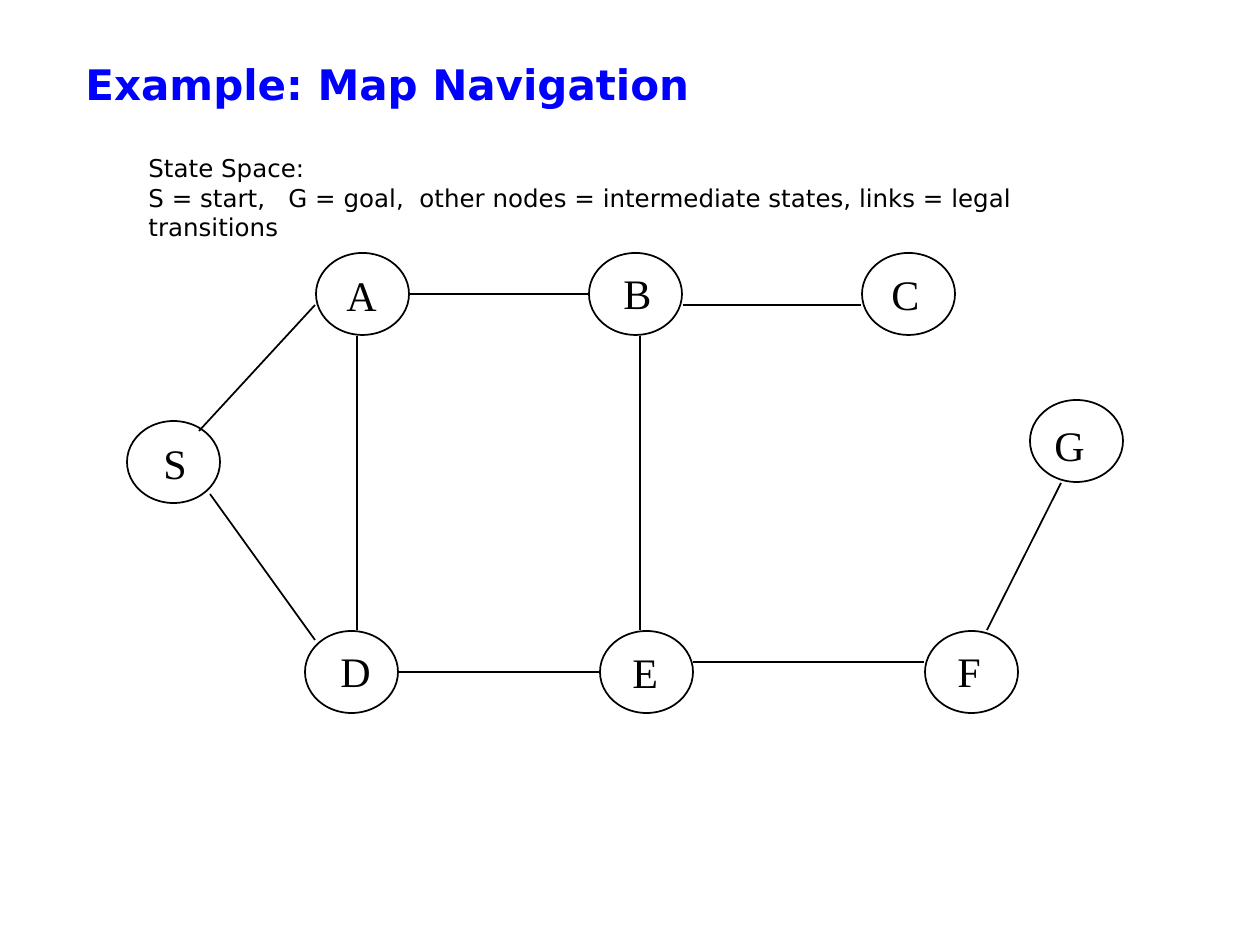
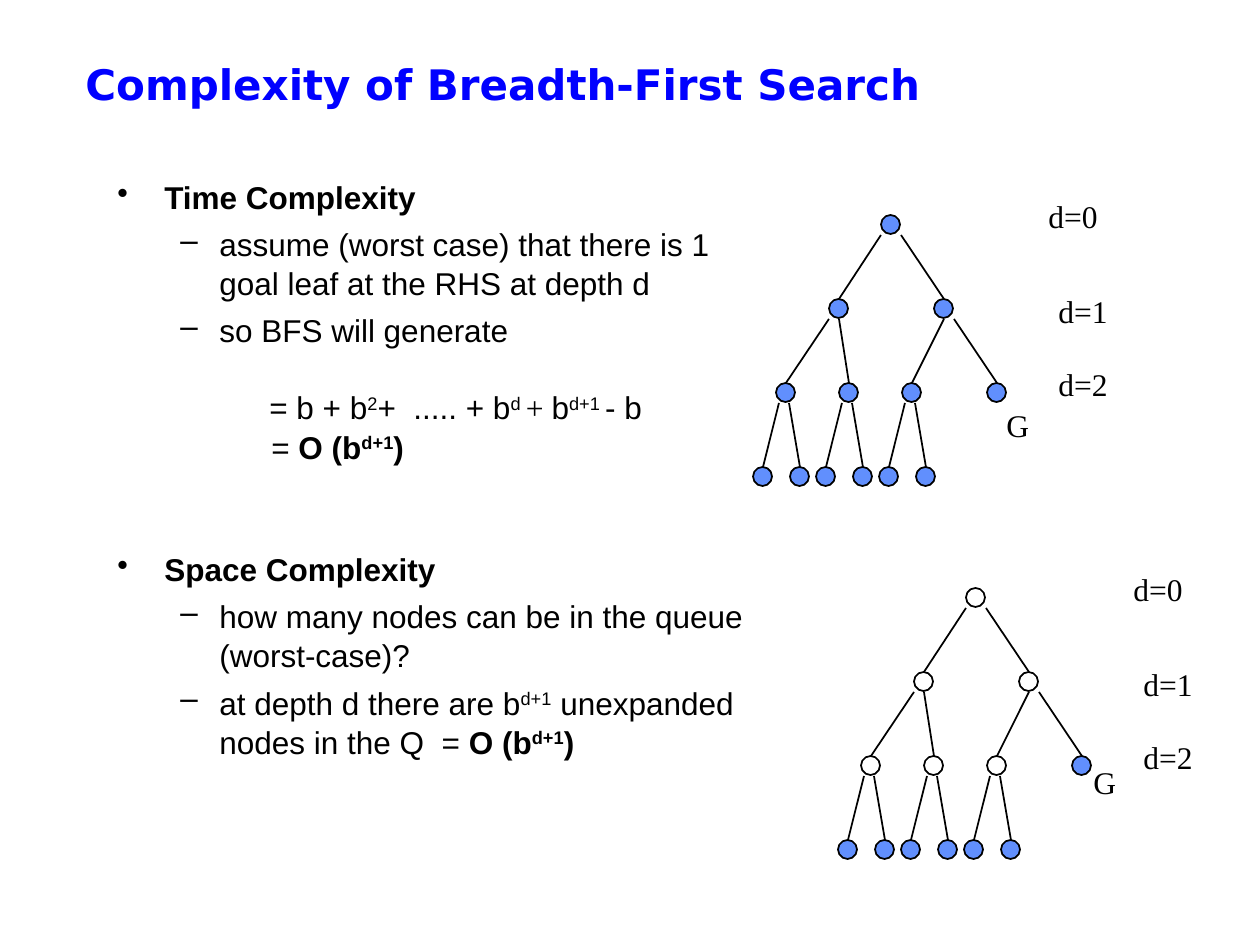
from dataclasses import dataclass

from lxml.etree import SubElement
from pptx import Presentation
from pptx.dml.color import RGBColor
from pptx.enum.shapes import MSO_CONNECTOR, MSO_SHAPE
from pptx.enum.text import MSO_ANCHOR
from pptx.oxml.ns import qn
from pptx.util import Emu, Pt


@dataclass(frozen=True)
class Theme:
    ink: RGBColor = RGBColor(0, 0, 0)
    title: RGBColor = RGBColor(0, 0, 255)
    node: RGBColor = RGBColor(0x61, 0x8F, 0xFD)
    head_font: str = "DejaVu Sans"
    body_font: str = "Arial"
    label_font: str = "Times New Roman"
    large: int = 24
    medium: int = 18
    small: int = 14
    line: int = 1


T = Theme()
SLIDE_W, SLIDE_H = 1260, 945
TITLE_BOX = (73, 42, 1071, 84)

# Map: node name -> (ellipse x, y, label dx, dy)
NODE_W, NODE_H = 93, 82
MAP_NODES = {
    "S": (0, 168, 24, 10), "D": (178, 378, 23, 8), "E": (473, 378, 20, 9),
    "F": (798, 378, 20, 8), "G": (903, 147, 12, 13), "A": (189, 0, 18, 10),
    "B": (462, 0, 22, 8), "C": (735, 0, 17, 9),
}
MAP_LINKS = [
    (83, 241, 188, 387), (72, 178, 188, 52), (230, 83, 230, 377),
    (283, 41, 461, 41), (272, 419, 472, 419), (556, 52, 734, 52),
    (566, 409, 797, 409), (860, 377, 934, 230), (513, 83, 513, 377),
]

# Search tree: each child is (x, where its link leaves the parent, its children)
DOT, LEVEL = 19, 84
LEFT, MIDDLE, RIGHT = 0, 10, 20


def leaf_pair(x):
    return [(x - 23, 3, []), (x + 14, 13, [])]


TREE = (0, MIDDLE, [
    (-52, LEFT, [(-105, LEFT, leaf_pair(-105)), (-42, MIDDLE, leaf_pair(-42))]),
    (53, RIGHT, [(21, MIDDLE, leaf_pair(21)), (106, RIGHT, [])]),
])
DEPTH_LABELS = [("d=0", 155, -24), ("d=1", 165, 71), ("d=2", 165, 144)]

# Outline: (level, space before in points, runs); run flags: b bold, ^ raised, t label font
HEAD, ITEM, FORMULA, RESULT = range(4)
INDENTS = {HEAD: (47, -47, "•"), ITEM: (102, -39, "–"),
           FORMULA: (152, 0, None), RESULT: (154, 0, None)}
OUTLINE = [
    (HEAD, 0, [("Time Complexity", "b")]),
    (ITEM, 4.5, [("assume (worst case) that there is 1 goal leaf at the RHS at depth d", "")]),
    (ITEM, 4.5, [("so BFS will generate", "")]),
    (FORMULA, 21.5, [("= b + b", ""), ("2", "^"), ("+  ..... + b", ""), ("d ", "^"),
                     ("+ ", "t"), ("b", ""), ("d+1 ", "^"), ("- b", "")]),
    (RESULT, 0, [("= ", ""), ("O (b", "b"), ("d+1", "b^"), (")", "b")]),
    (HEAD, 47.5, [("Space Complexity", "b")]),
    (ITEM, 4.5, [("how many nodes can be in the queue (worst-case)?", "")]),
    (ITEM, 4.5, [("at depth d there are b", ""), ("d+1", "^"),
                 (" unexpanded nodes in the Q  = ", ""), ("O (b", "b"),
                 ("d+1", "b^"), (")", "b")]),
]


def px(n):
    return Emu(round(n * 914400 / 126))


def add_run(p, text, font, size, color=T.ink, bold=False, raised=False):
    r = p.add_run()
    r.text = text
    r.font.name, r.font.size, r.font.bold = font, Pt(size), bold
    r.font.color.rgb = color
    if raised:
        r.font._element.set("baseline", "30000")


def add_box(s, x, y, w, h, anchor=MSO_ANCHOR.TOP):
    tf = s.shapes.add_textbox(px(x), px(y), px(w), px(h)).text_frame
    tf.word_wrap = True
    tf.vertical_anchor = anchor
    return tf


def add_label(s, x, y, text, size):
    tf = add_box(s, x, y, 90, 50)
    add_run(tf.paragraphs[0], text, T.label_font, size)


def add_ellipse(s, x, y, w, h, fill=None):
    sp = s.shapes.add_shape(MSO_SHAPE.OVAL, px(x), px(y), px(w), px(h))
    sp.shadow.inherit = False
    if fill is None:
        sp.fill.background()
    else:
        sp.fill.solid()
        sp.fill.fore_color.rgb = fill
    sp.line.color.rgb, sp.line.width = T.ink, Pt(T.line)


def add_link(s, x1, y1, x2, y2):
    c = s.shapes.add_connector(MSO_CONNECTOR.STRAIGHT, px(x1), px(y1), px(x2), px(y2))
    c.line.color.rgb, c.line.width = T.ink, Pt(T.line)
    SubElement(c._element.spPr, qn("a:effectLst"))


def add_titled_slide(prs, title):
    s = prs.slides.add_slide(prs.slide_layouts[6])
    tf = add_box(s, *TITLE_BOX, MSO_ANCHOR.MIDDLE)
    add_run(tf.paragraphs[0], title, T.head_font, T.large, T.title, bold=True)
    return s


def add_caption(s, box, lines):
    tf = add_box(s, *box)
    for i, line in enumerate(lines):
        p = tf.add_paragraph() if i else tf.paragraphs[0]
        add_run(p, line, T.head_font, T.small)


def add_map(s, x, y):
    for name, (nx, ny, dx, dy) in MAP_NODES.items():
        add_ellipse(s, x + nx, y + ny, NODE_W, NODE_H)
        add_label(s, x + nx + dx, y + ny + dy, name, T.large)
    for x1, y1, x2, y2 in MAP_LINKS:
        add_link(s, x + x1, y + y1, x + x2, y + y2)


def add_outline(s, box):
    tf = add_box(s, *box)
    for i, (level, before, runs) in enumerate(OUTLINE):
        p = tf.add_paragraph() if i else tf.paragraphs[0]
        margin, indent, bullet = INDENTS[level]
        pPr = p._p.get_or_add_pPr()
        pPr.set("marL", str(px(margin)))
        pPr.set("indent", str(px(indent)))
        if bullet:
            SubElement(pPr, qn("a:buChar")).set("char", bullet)
        p.line_spacing = 1.04
        if before:
            p.space_before = Pt(before)
        for text, flags in runs:
            font = T.label_font if "t" in flags else T.body_font
            add_run(p, text, font, T.medium, bold="b" in flags, raised="^" in flags)


def add_branch(s, x, y, node, expanded_fill):
    """Draw a node and everything below it; childless nodes are always filled."""
    nx, _, children = node
    add_ellipse(s, x + nx, y, DOT, DOT, expanded_fill if children else T.node)
    for child in children:
        cx, start, _ = child
        add_link(s, x + nx + start, y + DOT + 1, x + cx + DOT // 2 + 1, y + LEVEL)
        add_branch(s, x, y + LEVEL, child, expanded_fill)


def add_tree(s, x, y, goal_at, expanded_fill=None):
    add_branch(s, x, y, TREE, expanded_fill)
    for text, dx, dy in [*DEPTH_LABELS, ("G", *goal_at)]:
        add_label(s, x + dx, y + dy, text, T.medium)


def main():
    prs = Presentation()
    prs.slide_width, prs.slide_height = px(SLIDE_W), px(SLIDE_H)

    s = add_titled_slide(prs, "Example: Map Navigation")
    add_map(s, 127, 253)
    add_caption(s, (136, 147, 927, 71), [
        "State Space:",
        "S = start,   G = goal,  other nodes = intermediate states, links = legal transitions",
    ])

    s = add_titled_slide(prs, "Complexity of Breadth-First Search")
    add_outline(s, (105, 170, 683, 697))
    add_tree(s, 881, 215, (113, 185), T.node)
    add_tree(s, 966, 588, (115, 169))

    prs.save("out.pptx")


if __name__ == "__main__":
    main()
